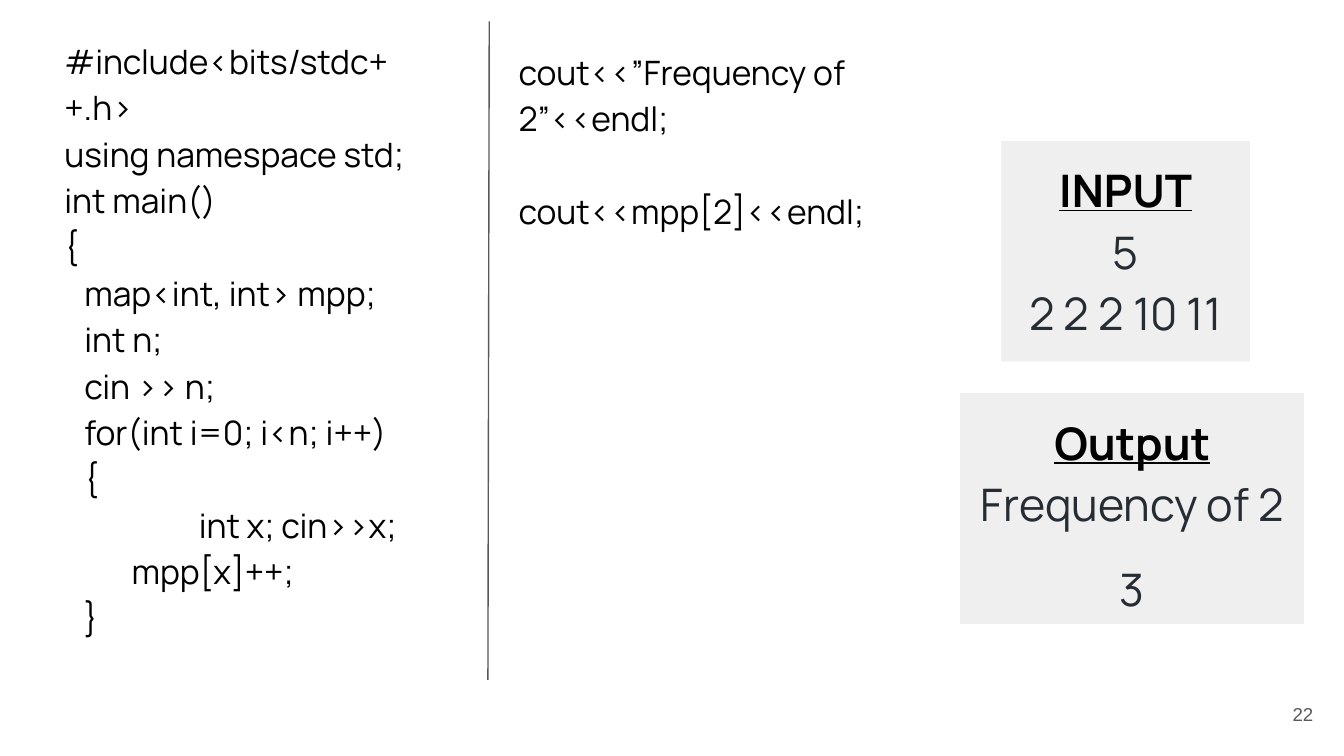
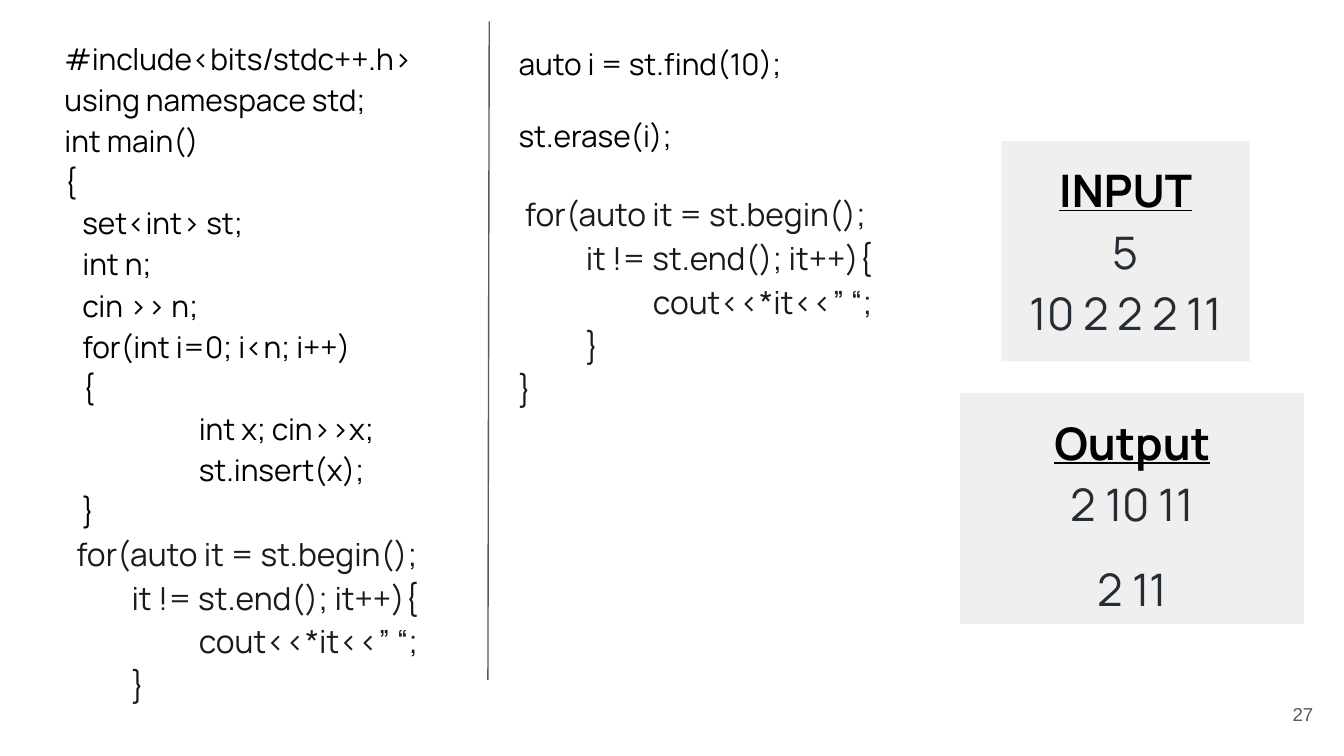
from dataclasses import dataclass

from pptx import Presentation
from pptx.dml.color import RGBColor as RGB
from pptx.enum.shapes import MSO_CONNECTOR as Link, MSO_SHAPE as Kind
from pptx.enum.text import MSO_ANCHOR as Anchor, PP_ALIGN as Align
from pptx.oxml.xmlchemy import OxmlElement as Node
from pptx.util import Pt


@dataclass(frozen=True)
class Theme:
    font: str = "Manrope"
    plain: str = "Arial"
    black: str = "000000"
    soft: str = "1A1A1A"
    slate: str = "252C33"
    grey: str = "595959"
    panel: str = "EFEFEF"
    loop: int = 17
    head: int = 24
    page: int = 10
    lead: float = 1.15
    inset: float = 7.2
    rule: float = 0.75
    tab: int = 36


T = Theme()


@dataclass(frozen=True)
class Line:
    text: str
    dent: float = 0
    gap: float = 0
    size: int = 0
    color: str = T.black
    lead: float = T.lead


# Boxes: left, top, width, height
LEFT = (27.4, 11.5, 215.3, 352.1)
RIGHT = (270.7, 17.3, 215.3)
INPUT = (536.4, 75.6, 133.2, 118.1)
OUTPUT = (514.8, 211, 183.6, 77.8)
RESULT = (514.8, 289.4, 183.6, 44.6)
PAGE = (667.4, 367.2, 43.2, 31)


def rect(box):
    return [Pt(v) for v in box]


def pad(frame, anchor=Anchor.TOP):
    frame.word_wrap = True
    frame.vertical_anchor = anchor
    frame.margin_left = frame.margin_right = Pt(T.inset)
    frame.margin_top = frame.margin_bottom = Pt(T.inset)


def style(para, size, color, name=T.font):
    font = para.font
    font.name, font.size = name, Pt(size)
    font.color.rgb = RGB.from_string(color)
    return font


def write(frame, rows):
    """Yield one paragraph for each row of text."""
    for i, text in enumerate(rows):
        para = frame.add_paragraph() if i else frame.paragraphs[0]
        para.text = text
        yield para


def code(slide, box, size, lines):
    frame = slide.shapes.add_textbox(*rect(box)).text_frame
    pad(frame)
    for para, line in zip(write(frame, [l.text for l in lines]), lines):
        style(para, line.size or size, line.color)
        para.line_spacing = line.lead
        if line.gap:
            para.space_before = Pt(line.gap)
        props = para._p.get_or_add_pPr()
        props.set("marL", "0")
        props.set("indent", str(int(Pt(line.dent))))


def panel(slide, box, rows, title="", edge=True):
    shape = slide.shapes.add_shape(Kind.RECTANGLE, *rect(box))
    shape.shadow.inherit = False
    tone = RGB.from_string(T.panel)
    shape.fill.solid()
    shape.fill.fore_color.rgb = tone
    if edge:
        shape.line.color.rgb = tone
        shape.line.width = Pt(T.rule)
    else:
        shape.line.fill.background()
    pad(shape.text_frame)
    texts = [title, *rows] if title else rows
    for i, para in enumerate(write(shape.text_frame, texts)):
        top = bool(title) and i == 0
        font = style(para, T.head, T.black if top else T.slate)
        font.bold = font.underline = top
        para.alignment = Align.CENTER
        para.line_spacing = T.lead


def divide(slide):
    ends = rect((262.1, 11.5, 261.4, 364.3))
    line = slide.shapes.add_connector(Link.STRAIGHT, *ends)
    line.line.color.rgb = RGB.from_string(T.grey)
    line.line.width = Pt(T.rule)
    line._element.spPr.append(Node("a:effectLst"))


def number(slide, page):
    frame = slide.shapes.add_textbox(*rect(PAGE)).text_frame
    pad(frame, Anchor.MIDDLE)
    for para in write(frame, [str(page)]):
        style(para, T.page, T.grey, T.plain)
        para.alignment = Align.RIGHT


def program(step, store, insert):
    """Lines that read n values into a container."""
    return [
        *map(Line, ("#include<bits/stdc++.h>", "using namespace std;",
                    "int main()", "{")),
        *(Line(text, step) for text in (
            store, "int n;", "cin >> n;", "for(int i=0; i<n; i++)", "{")),
        Line("int x; cin>>x;", 2 * T.tab),
        insert,
        Line("}", step),
    ]


def loop(dent, gap=0):
    """Lines that print every value in the set."""
    rows = (("for(auto it = st.begin();", dent, gap),
            ("it != st.end(); it++){", T.tab, 0),
            ("cout<<*it<<” “;", 2 * T.tab, 0),
            ("}", T.tab, 0))
    return [Line(*row, T.loop, T.soft) for row in rows]


def build(deck, page, size, left, right, high, given, shown, last):
    slide = deck.slides.add_slide(deck.slide_layouts[6])
    number(slide, page)
    code(slide, LEFT, size, left)
    panel(slide, OUTPUT, [shown], "Output")
    divide(slide)
    panel(slide, INPUT, ["5", given], "INPUT", edge=False)
    panel(slide, RESULT, [last])
    code(slide, (*RIGHT, high), size, right)


def main():
    deck = Presentation()
    deck.slide_width, deck.slide_height = Pt(720), Pt(405)

    # Counting with a map
    left = program(10.7, "map<int, int> mpp;", Line("mpp[x]++;", T.tab))
    right = [Line("cout<<”Frequency of 2”<<endl;"),
             Line("cout<<mpp[2]<<endl;", gap=25)]
    build(deck, 22, 18, left, right, 131.8,
          "2 2 2 10 11", "Frequency of 2", "3")

    # Erasing from a set
    left = program(9.6, "set<int> st;", Line("st.insert(x);", 2 * T.tab))
    right = [Line("auto i = st.find(10);", lead=1.0),
             Line("st.erase(i);", gap=19.3, lead=1.0),
             *loop(3.4, gap=19.3),
             Line("}", size=T.loop, color=T.soft)]
    build(deck, 27, 16, left + loop(6.4), right, 232.6,
          "10 2 2 2 11", "2 10 11", "2 11")

    deck.save("out.pptx")


if __name__ == "__main__":
    main()
